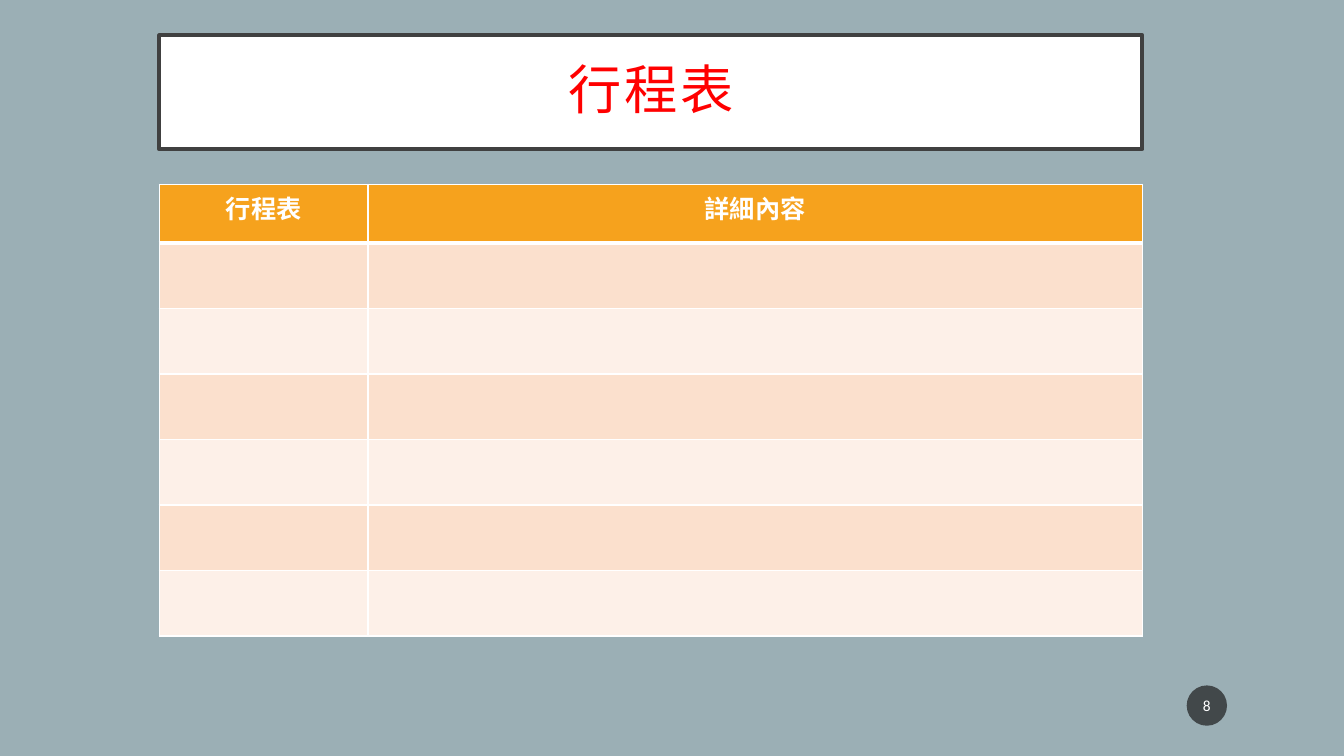
from lxml import etree
from pptx import Presentation
from pptx import util as u
from pptx.dml.color import RGBColor
from pptx.enum import shapes, text
from pptx.oxml import ns


def paint(fill, color):
    fill.solid()
    fill.fore_color.rgb = RGBColor.from_string(color)


class Deck:
    """Holds the style and the current slide, and draws its elements."""

    white, dark, red = "FFFFFF", "404040", "FF0000"
    head, bands = "F6A21D", ("FBE0CD", "FDF0E8")
    left, width = 1.58, 9.75

    def __init__(self):
        self.file = Presentation()
        self.file.slide_width = u.Inches(13.33)
        self.file.slide_height = u.Inches(7.5)
        self.slide = self.file.slides.add_slide(self.file.slide_layouts[5])
        paint(self.slide.background.fill, "9BAFB5")

    def place(self, shape, left, top, width, height):
        shape.left, shape.top = u.Inches(left), u.Inches(top)
        shape.width, shape.height = u.Inches(width), u.Inches(height)

    def label(self, frame, words, size, color, face="Calibri", bold=False):
        frame.text = words
        para = frame.paragraphs[0]
        para.alignment = text.PP_ALIGN.CENTER
        font = para.font
        font.size, font.name, font.bold = u.Pt(size), face, bold
        paint(font.fill, color)
        return para

    def inset(self, frame, side, edge):
        frame.margin_left = frame.margin_right = u.Inches(side)
        frame.margin_top = frame.margin_bottom = u.Inches(edge)
        frame.vertical_anchor = text.MSO_ANCHOR.MIDDLE
        frame.auto_size = text.MSO_AUTO_SIZE.NONE
        frame.word_wrap = True

    def title(self, words):
        box = self.slide.shapes.title
        self.place(box, self.left, 0.35, self.width, 1.13)
        paint(box.fill, self.white)
        paint(box.line.fill, self.dark)
        box.line.width = u.Pt(3)
        self.inset(box.text_frame, 0.3, 0.2)
        para = self.label(box.text_frame, words, 38, self.red, "Arial")
        para.line_spacing = 0.9
        para.runs[0]._r.get_or_add_rPr().set("spc", "200")

    def badge(self, words):
        dot = self.slide.shapes.add_shape(shapes.MSO_SHAPE.OVAL, 0, 0, 0, 0)
        self.place(dot, 11.77, 6.8, 0.4, 0.4)
        dot.shadow.inherit = False
        paint(dot.fill, "1D1D1D")
        tint = dot._element.spPr.find(".//" + ns.qn("a:srgbClr"))
        etree.SubElement(tint, ns.qn("a:alpha"), val="70000")
        dot.line.fill.background()
        self.inset(dot.text_frame, 0.02, 0.05)
        self.label(dot.text_frame, words, 11, self.white)

    def border(self, cell, side, width):
        props = cell._tc.get_or_add_tcPr()
        line = etree.SubElement(props, ns.qn("a:ln" + side), w=str(u.Pt(width)))
        fill = etree.SubElement(line, ns.qn("a:solidFill"))
        etree.SubElement(fill, ns.qn("a:srgbClr"), val=self.white)

    def table(self, heads, widths, heights):
        grid = self.slide.shapes.add_table(
            len(heights), len(widths), u.Inches(self.left), u.Inches(1.83),
            u.Inches(self.width), u.Inches(sum(heights))).table
        for col, width in zip(grid.columns, widths):
            col.width = u.Inches(width)
        for r, height in enumerate(heights):
            grid.rows[r].height = u.Inches(height)
            for c, words in enumerate(heads):
                cell = grid.cell(r, c)
                for side in "LRTB":
                    thick = (r, side) in ((0, "B"), (1, "T"))
                    self.border(cell, side, 3 if thick else 1)
                paint(cell.fill, self.bands[(r - 1) % 2] if r else self.head)
                if r == 0:
                    self.label(cell.text_frame, words, 18, self.white, bold=True)


def main():
    deck = Deck()
    deck.title("行程表")
    deck.badge("8")
    deck.table(["行程表", "詳細內容"], [2.07, 7.68], [0.58] + [0.65] * 6)
    deck.file.save("out.pptx")


if __name__ == "__main__":
    main()
